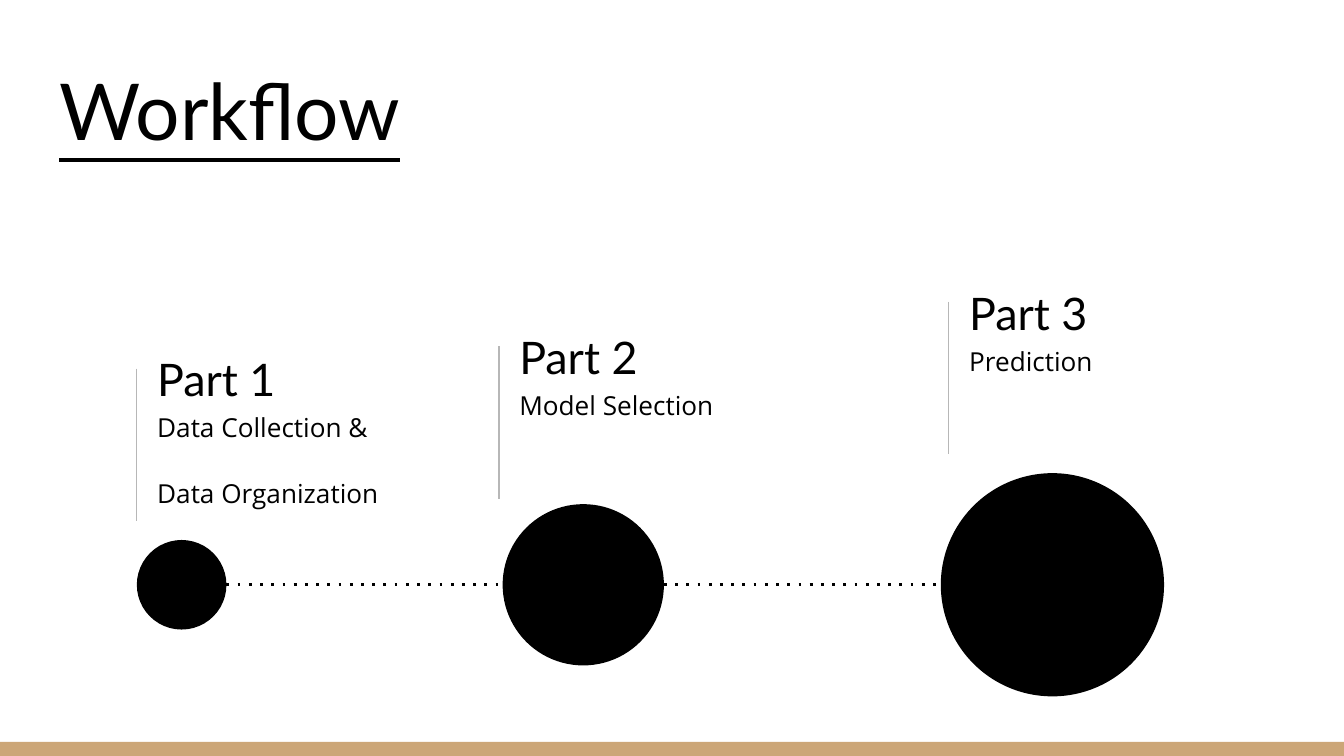
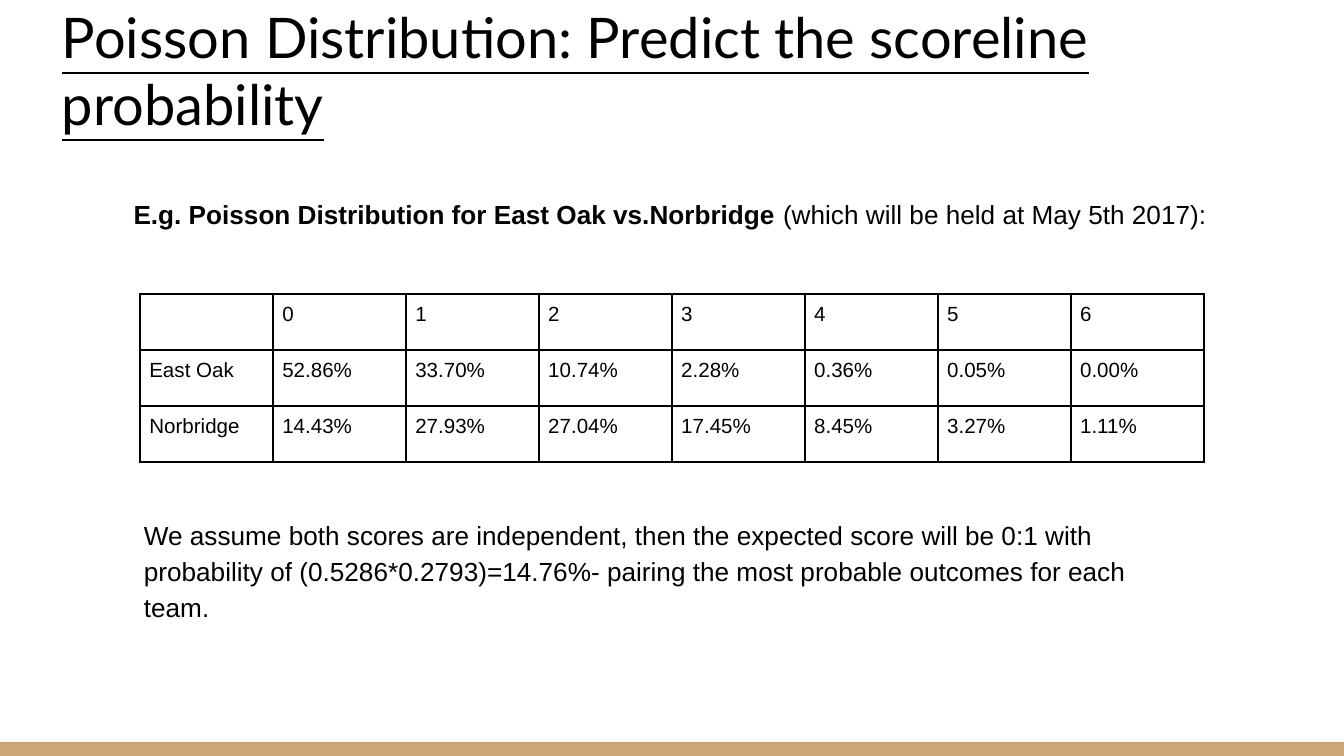
from dataclasses import dataclass

from lxml.etree import SubElement
from pptx import Presentation
from pptx.dml.color import RGBColor
from pptx.enum.dml import MSO_LINE_DASH_STYLE as Dash
from pptx.enum.shapes import MSO_CONNECTOR as Connector, MSO_SHAPE as Shape
from pptx.enum.text import MSO_ANCHOR as Anchor, MSO_AUTO_SIZE as AutoSize, PP_ALIGN as Align
from pptx.oxml.ns import qn
from pptx.util import Pt


@dataclass(frozen=True)
class Theme:
    ink: RGBColor = RGBColor(0, 0, 0)
    paper: RGBColor = RGBColor(255, 255, 255)
    band: RGBColor = RGBColor(0xCC, 0xA6, 0x77)
    rule: RGBColor = RGBColor(0xB7, 0xB7, 0xB7)
    title_font: str = "Lato"
    detail_font: str = "Open Sans"
    body_font: str = "Arial"
    title_size: float = 42
    long_title_size: float = 30
    heading_size: float = 24
    body_size: float = 14
    cell_size: float = 11
    inset: float = 7.2
    cell_inset: float = 5
    body_spacing: float = 1.15


@dataclass(frozen=True)
class Area:
    left: float
    top: float
    width: float
    height: float

    def lengths(self) -> tuple:
        return Pt(self.left), Pt(self.top), Pt(self.width), Pt(self.height)


@dataclass(frozen=True)
class Part:
    heading: str
    details: tuple[str, ...]
    rule_left: float
    rule_top: float
    circle_left: float
    diameter: float


THEME = Theme()
WIDTH, HEIGHT, BAND_HEIGHT = 720, 405, 7.5
TITLE_ONLY = 5
RULE_HEIGHT = 81.6
CIRCLE_CENTRE = 313.3
COLUMN_WIDTH, ROW_HEIGHT = 71.25, 30

PARTS = (
    Part("Part 1", ("Data Collection &", "Data Organization"), 73.3, 197.5, 73.3, 48),
    Part("Part 2", ("Model Selection",), 267.3, 185.5, 269.3, 86.4),
    Part("Part 3", ("Prediction",), 508.3, 161.7, 504, 119.6),
)
SCORE_ROWS = (
    ("", "0", "1", "2", "3", "4", "5", "6"),
    ("East Oak", "52.86%", "33.70%", "10.74%", "2.28%", "0.36%", "0.05%", "0.00%"),
    ("Norbridge", "14.43%", "27.93%", "27.04%", "17.45%", "8.45%", "3.27%", "1.11%"),
)


def add_span(para, text: str, *, size: float = THEME.body_size, font: str = THEME.body_font,
             bold: bool = False, underline: bool = False) -> None:
    span = para.add_run()
    span.text = text
    span.font.size = Pt(size)
    span.font.name = font
    span.font.bold = bold
    span.font.underline = underline
    span.font.color.rgb = THEME.ink


def prepare_frame(frame, anchor: Anchor = Anchor.TOP):
    """Set wrapping, insets and anchor, and return the first paragraph."""
    frame.word_wrap = True
    frame.auto_size = AutoSize.NONE
    frame.vertical_anchor = anchor
    frame.margin_left = frame.margin_right = Pt(THEME.inset)
    frame.margin_top = frame.margin_bottom = Pt(THEME.inset)
    return frame.paragraphs[0]


def add_box(page, area: Area, anchor: Anchor = Anchor.TOP):
    frame = page.shapes.add_textbox(*area.lengths()).text_frame
    prepare_frame(frame, anchor)
    return frame


def add_filled_shape(page, kind: Shape, area: Area, color: RGBColor) -> None:
    shape = page.shapes.add_shape(kind, *area.lengths())
    shape.shadow.inherit = False
    shape.fill.solid()
    shape.fill.fore_color.rgb = color
    shape.line.fill.background()


def add_line(page, start: tuple[float, float], end: tuple[float, float],
             color: RGBColor, width: float, dotted: bool = False) -> None:
    line = page.shapes.add_connector(Connector.STRAIGHT, *map(Pt, start + end))
    line.line.color.rgb = color
    line.line.width = Pt(width)
    if dotted:
        line.line.dash_style = Dash.ROUND_DOT
        line.line._ln.find(qn("a:prstDash")).set("val", "dot")
    SubElement(line._element.spPr, qn("a:effectLst"))


def add_page(deck, title: str, area: Area, size: float):
    """Add a page with the bottom band and an underlined title."""
    page = deck.slides.add_slide(deck.slide_layouts[TITLE_ONLY])
    add_filled_shape(page, Shape.RECTANGLE,
                     Area(0, HEIGHT - BAND_HEIGHT, WIDTH, BAND_HEIGHT), THEME.band)
    holder = page.shapes.title
    holder.left, holder.top, holder.width, holder.height = area.lengths()
    para = prepare_frame(holder.text_frame, Anchor.BOTTOM)
    para.alignment = Align.LEFT
    add_span(para, title, size=size, font=THEME.title_font, underline=True)
    return page


def add_part(page, part: Part) -> None:
    left, top = part.rule_left, part.rule_top
    add_line(page, (left, top), (left, top + RULE_HEIGHT), THEME.rule, 0.75)
    heading = add_box(page, Area(left + 3.8, top - 10, 142.5, 31), Anchor.MIDDLE)
    add_span(heading.paragraphs[0], part.heading,
             size=THEME.heading_size, font=THEME.title_font)
    details = add_box(page, Area(left + 3.8, top + 13.4, 142.5, 45.4))
    for index, detail in enumerate(part.details):
        para = details.add_paragraph() if index else details.paragraphs[0]
        para.line_spacing = THEME.body_spacing
        para.space_before = Pt(16 if index else 0)
        add_span(para, detail, font=THEME.detail_font)
    add_filled_shape(page, Shape.OVAL,
                     Area(part.circle_left, CIRCLE_CENTRE - part.diameter / 2,
                          part.diameter, part.diameter), THEME.ink)


def add_cell_borders(cell) -> None:
    properties = cell._tc.get_or_add_tcPr()
    for side in ("lnL", "lnR", "lnT", "lnB"):
        border = SubElement(properties, qn(f"a:{side}"), w=str(Pt(1)))
        fill = SubElement(border, qn("a:solidFill"))
        SubElement(fill, qn("a:srgbClr"), val=str(THEME.ink))


def fill_cell(cell, text: str) -> None:
    cell.margin_left = cell.margin_right = Pt(THEME.cell_inset)
    cell.margin_top = cell.margin_bottom = Pt(THEME.cell_inset)
    add_cell_borders(cell)
    cell.fill.solid()
    cell.fill.fore_color.rgb = THEME.paper
    para = cell.text_frame.paragraphs[0]
    if text:
        add_span(para, text, size=THEME.cell_size)
    else:
        SubElement(para._p, qn("a:endParaRPr"), sz=str(int(THEME.cell_size * 100)))


def add_score_table(page, left: float, top: float) -> None:
    row_count, column_count = len(SCORE_ROWS), len(SCORE_ROWS[0])
    area = Area(left, top, column_count * COLUMN_WIDTH, row_count * ROW_HEIGHT)
    table = page.shapes.add_table(row_count, column_count, *area.lengths()).table
    table.first_row = table.horz_banding = False
    for row, texts in enumerate(SCORE_ROWS):
        for column, text in enumerate(texts):
            fill_cell(table.cell(row, column), text)


def build_workflow(deck) -> None:
    page = add_page(deck, "Workflow", Area(24.5, 25.2, 671, 65.5), THEME.title_size)
    first, last = PARTS[0], PARTS[-1]
    add_line(page, (first.circle_left + first.diameter, CIRCLE_CENTRE),
             (last.circle_left, CIRCLE_CENTRE), THEME.ink, 1.5, dotted=True)
    for part in PARTS:
        add_part(page, part)


def build_poisson(deck) -> None:
    page = add_page(deck, "Poisson Distribution: Predict the scoreline probability",
                    Area(26, 0, 671, 80.6), THEME.long_title_size)
    example = add_box(page, Area(64.5, 96.5, 631, 36)).paragraphs[0]
    example.line_spacing = THEME.body_spacing
    add_span(example, "E.g. Poisson Distribution for East Oak vs.Norbridge", bold=True)
    add_span(example, " (which will be held at May 5th 2017):")
    add_score_table(page, 75, 157.5)
    conclusion = add_box(page, Area(70, 268.5, 570, 82)).paragraphs[0]
    conclusion.line_spacing = THEME.body_spacing
    add_span(conclusion, "We assume both scores are independent, then the expected score "
                         "will be 0:1 with probability of (0.5286*0.2793)=14.76%- pairing "
                         "the most probable outcomes for each team.")


def main() -> None:
    deck = Presentation()
    deck.slide_width, deck.slide_height = Pt(WIDTH), Pt(HEIGHT)
    build_workflow(deck)
    build_poisson(deck)
    deck.save("out.pptx")


if __name__ == "__main__":
    main()
